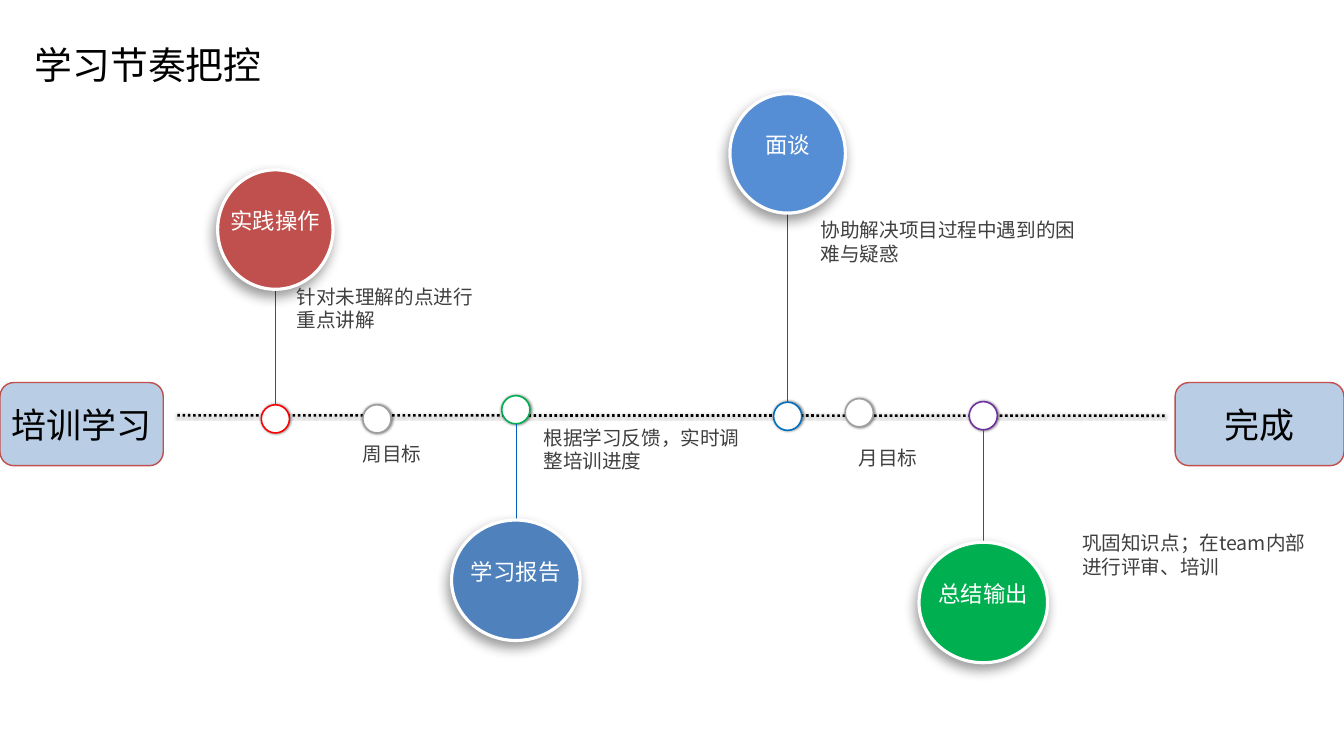
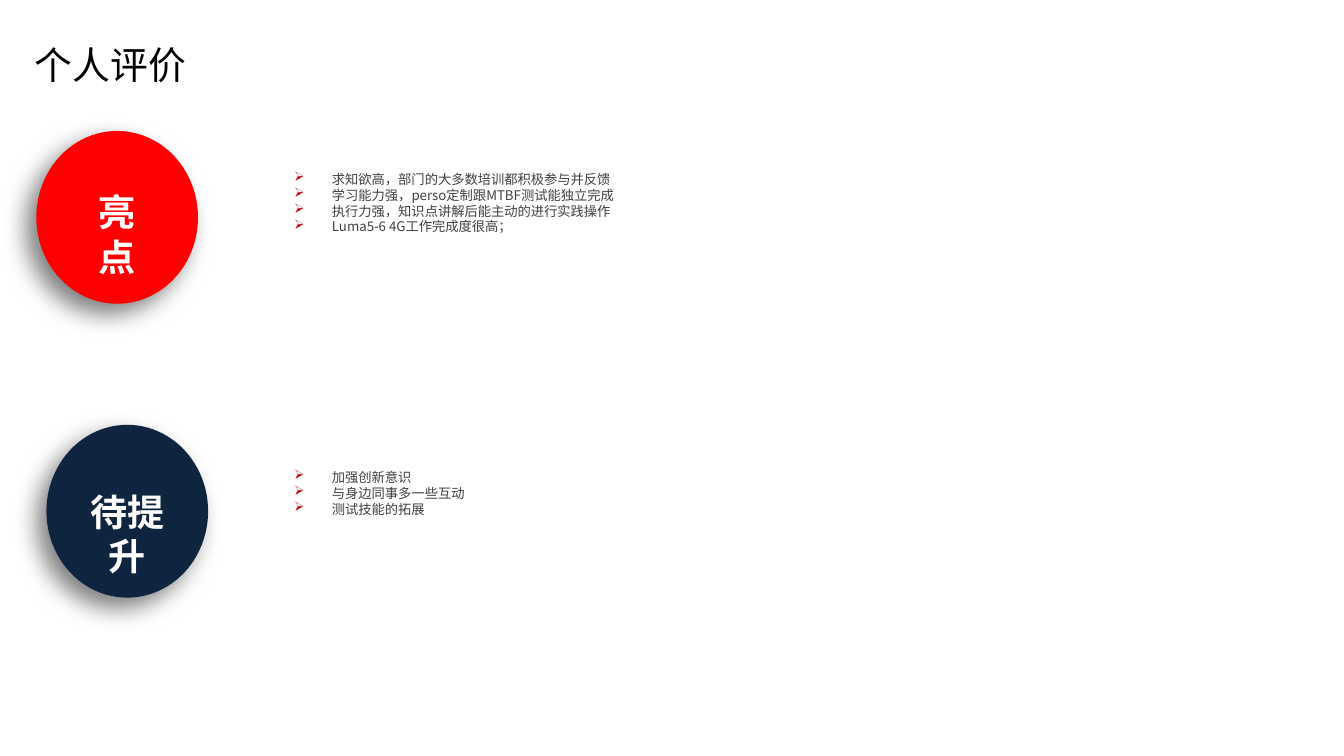
"""Build two slides: a training timeline and a personal review."""
from dataclasses import dataclass

from lxml import etree
from pptx import Presentation
from pptx.dml.color import RGBColor
from pptx.enum.dml import MSO_LINE
from pptx.enum.shapes import MSO_CONNECTOR, MSO_SHAPE
from pptx.enum.text import MSO_ANCHOR, PP_ALIGN
from pptx.oxml.ns import qn
from pptx.util import Cm, Pt

OVAL = MSO_SHAPE.OVAL
ROUNDED = MSO_SHAPE.ROUNDED_RECTANGLE
STRAIGHT = MSO_CONNECTOR.STRAIGHT
DOTTED = MSO_LINE.ROUND_DOT
LEFT, CENTER = PP_ALIGN.LEFT, PP_ALIGN.CENTER
TOP, MIDDLE = MSO_ANCHOR.TOP, MSO_ANCHOR.MIDDLE


@dataclass(frozen=True)
class Theme:
    font: str = "Noto Sans CJK SC"
    end_font: str = "DejaVu Sans Mono"
    black: RGBColor = RGBColor(0x00, 0x00, 0x00)
    white: RGBColor = RGBColor(0xFF, 0xFF, 0xFF)
    body: RGBColor = RGBColor(0x40, 0x40, 0x40)
    stem: RGBColor = RGBColor(0x00, 0x62, 0xBD)
    grey: RGBColor = RGBColor(0x9D, 0x9F, 0x9E)
    red: RGBColor = RGBColor(0xFF, 0x00, 0x00)
    green: RGBColor = RGBColor(0x00, 0xB0, 0x50)
    blue: RGBColor = RGBColor(0x00, 0x70, 0xC0)
    purple: RGBColor = RGBColor(0x70, 0x30, 0xA0)
    brick: RGBColor = RGBColor(0xC0, 0x50, 0x4D)
    steel: RGBColor = RGBColor(0x4F, 0x81, 0xBD)
    sky: RGBColor = RGBColor(0x55, 0x8E, 0xD5)
    pale: RGBColor = RGBColor(0xB9, 0xCD, 0xE5)
    navy: RGBColor = RGBColor(0x0F, 0x24, 0x3E)
    bullet: str = "C00000"
    title_size: int = 54
    review_size: int = 53
    end_size: int = 50
    topic_size: int = 32
    note_size: int = 28
    bullet_size: int = 19


THEME = Theme()
TIGHT, LOOSE = (0.25, 0.13), (0.68, 0.33)


def cast_shadow(shape, opacity, blur, distance, angle):
    effects = etree.SubElement(shape._element.spPr, qn("a:effectLst"))
    outer = etree.SubElement(
        effects, qn("a:outerShdw"), blurRad=str(Pt(blur)), dist=str(Pt(distance)),
        dir=str(angle * 60000), algn="ctr", rotWithShape="0")
    color = etree.SubElement(outer, qn("a:srgbClr"), val="000000")
    etree.SubElement(color, qn("a:alpha"), val=str(opacity * 1000))


def write(shape, lines, size, color, margins=TIGHT, align=LEFT, anchor=TOP,
          wrap=True, spacing=None, bold=False, font=THEME.font, bulleted=False):
    frame = shape.text_frame
    frame.word_wrap = wrap
    frame.vertical_anchor = anchor
    frame.margin_left = frame.margin_right = Cm(margins[0])
    frame.margin_top = frame.margin_bottom = Cm(margins[1])
    frame.text = "\n".join(lines)
    for paragraph in frame.paragraphs:
        paragraph.alignment = align
        if spacing:
            paragraph.line_spacing = spacing
        paragraph.font.name = font
        paragraph.font.size = Pt(size)
        paragraph.font.bold = bold
        paragraph.font.color.rgb = color
        properties = paragraph._p.pPr
        defaults = properties.find(qn("a:defRPr"))
        etree.SubElement(defaults, qn("a:ea"), typeface=font)
        if bulleted:
            properties.set("marL", str(Cm(1.9)))
            properties.set("indent", str(Cm(-1.9)))
            tint = etree.Element(qn("a:buClr"))
            etree.SubElement(tint, qn("a:srgbClr"), val=THEME.bullet)
            defaults.addprevious(tint)
            defaults.addprevious(etree.Element(qn("a:buChar"), char="➢"))


deck = Presentation()
deck.slide_width, deck.slide_height = Cm(67.74), Cm(38.1)
rhythm, review = [deck.slides.add_slide(deck.slide_layouts[6]) for _ in range(2)]
for slide, heading in ((rhythm, "学习节奏把控"), (review, "个人评价")):
    title = slide.shapes.add_textbox(Cm(1.5), Cm(1.98), Cm(26.19), Cm(2.29))
    write(title, [heading], THEME.title_size, THEME.black)

axis = rhythm.shapes.add_connector(STRAIGHT, Cm(8.94), Cm(20.93), Cm(58.78), Cm(20.95))
axis.line.color.rgb = THEME.black
axis.line.width = Pt(3.75)
axis.line.dash_style = DOTTED
cast_shadow(axis, 38, 3.1, 1.6, 90)

DOT = 1.42
dots = [
    (13.88, 20.4, THEME.red), (26, 19.94, THEME.green),
    (39.7, 20.27, THEME.blue), (49.56, 20.24, THEME.purple),
    (19, 20.4, THEME.grey), (43.31, 20.09, THEME.grey),
]
for center, top, color in dots:
    dot = rhythm.shapes.add_shape(OVAL, Cm(center - DOT / 2), Cm(top), Cm(DOT), Cm(DOT))
    dot.fill.solid()
    dot.fill.fore_color.rgb = THEME.white
    dot.line.color.rgb = color
    dot.line.width = Pt(2.25)
    cast_shadow(dot, 50, 4, 1, 0)

for left, width, stage in ((59.23, 8.51, "完成"), (0, 8.23, "培训学习")):
    end = rhythm.shapes.add_shape(ROUNDED, Cm(left), Cm(19.28), Cm(width), Cm(4.19))
    end.shadow.inherit = False
    end.fill.solid()
    end.fill.fore_color.rgb = THEME.pale
    end.line.color.rgb = THEME.brick
    end.line.width = Pt(2)
    write(end, [stage], THEME.end_size, THEME.black, align=CENTER, anchor=MIDDLE,
          font=THEME.end_font)

topics = [
    ("实践操作", THEME.brick, 8.56, 5.82, 6.02),
    ("学习报告", THEME.steel, 26.21, 6.48, 6.07),
    ("面谈", THEME.sky, 4.72, 5.82, 6.02),
    ("总结输出", THEME.green, 27.33, 6.48, 6.07),
]
for (center, dot_top, _), (topic, color, top, width, height) in zip(dots, topics):
    above = top < dot_top
    stem_start = dot_top if above else dot_top + DOT
    stem_end = top + height if above else top
    stem = rhythm.shapes.add_connector(
        STRAIGHT, Cm(center), Cm(stem_start), Cm(center), Cm(stem_end))
    stem.line.color.rgb = THEME.stem
    stem.line.width = Pt(0.75)
    etree.SubElement(stem._element.spPr, qn("a:effectLst"))
    disc = rhythm.shapes.add_shape(
        OVAL, Cm(center - width / 2), Cm(top), Cm(width), Cm(height))
    disc.fill.solid()
    disc.fill.fore_color.rgb = color
    disc.line.color.rgb = THEME.white
    disc.line.width = Pt(4.5)
    cast_shadow(disc, 40, 18, 9, 114)
    write(disc, [topic], THEME.topic_size, THEME.white, margins=(0, 0.33),
          align=CENTER, anchor=MIDDLE, wrap=False, spacing=Pt(12.4))

notes = [
    ("针对未理解的点进行重点讲解", 14.27, 14.02, 11.02, 3.05, None),
    ("根据学习反馈，实时调整培训进度", 26.72, 21.13, 11.35, 3.05, None),
    ("协助解决项目过程中遇到的困难与疑惑", 40.69, 10.67, 14.27, 4.24, None),
    ("巩固知识点；在team内部进行评审、培训", 53.87, 26.44, 12.98, 3.05, None),
    ("周目标", 17.6, 21.36, 6.3, 1.85, 1.5),
    ("月目标", 42.6, 21.54, 4.55, 1.85, 1.5),
]
for text, left, top, width, height, spacing in notes:
    note = rhythm.shapes.add_textbox(Cm(left), Cm(top), Cm(width), Cm(height))
    write(note, [text], THEME.note_size, THEME.body, margins=LOOSE, spacing=spacing)

verdicts = [
    ("亮点", THEME.red, 1.83, 6.6, 3.73, 9.55, 8.48, 3.45, [
        "求知欲高，部门的大多数培训都积极参与并反馈",
        "学习能力强，perso定制跟MTBF测试能独立完成",
        "执行力强，知识点讲解后能主动的进行实践操作",
        "Luma5-6 4G工作完成度很高；",
    ]),
    ("待提升", THEME.navy, 2.34, 21.41, 5.61, 24.64, 23.5, 2.67, [
        "加强创新意识",
        "与身边同事多一些互动",
        "测试技能的拓展",
    ]),
]
DISC_WIDTH, DISC_HEIGHT = 8.15, 8.71
for (verdict, color, left, top, label_width, label_top,
     points_top, points_height, points) in verdicts:
    disc = review.shapes.add_shape(
        OVAL, Cm(left), Cm(top), Cm(DISC_WIDTH), Cm(DISC_HEIGHT))
    disc.fill.solid()
    disc.fill.fore_color.rgb = color
    disc.line.fill.background()
    cast_shadow(disc, 50, 35, 20, 135)
    label = review.shapes.add_textbox(
        Cm(left + (DISC_WIDTH - label_width) / 2), Cm(label_top),
        Cm(label_width), Cm(2.24))
    write(label, [verdict], THEME.review_size, THEME.white, margins=(0, 0),
          align=CENTER, wrap=False, bold=True)
    evidence = review.shapes.add_textbox(
        Cm(14.58), Cm(points_top), Cm(41.28), Cm(points_height))
    write(evidence, points, THEME.bullet_size, THEME.body, bulleted=True)

deck.save("out.pptx")
